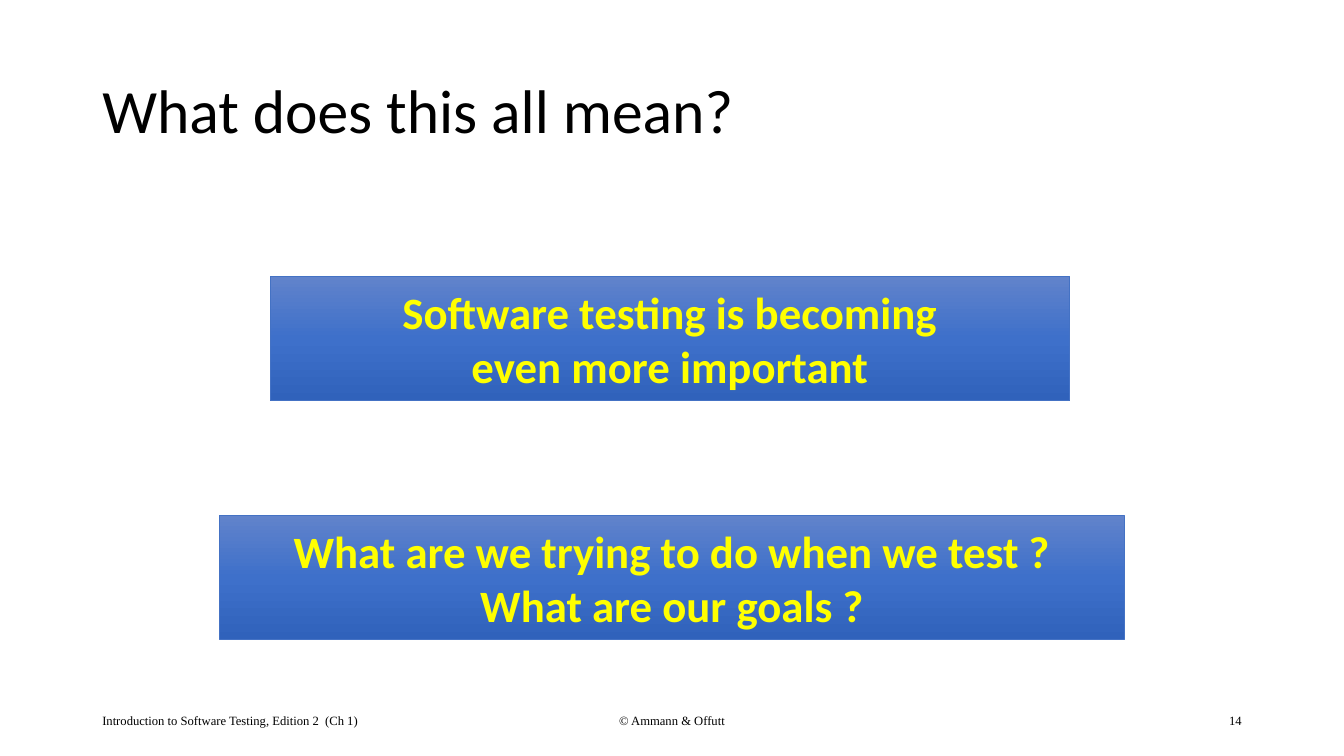
from copy import deepcopy

from pptx import Presentation
from pptx.dml.color import RGBColor
from pptx.enum.shapes import MSO_SHAPE
from pptx.enum.text import MSO_ANCHOR, PP_ALIGN
from pptx.oxml.ns import qn
from pptx.util import Pt

TITLE = {"size": Pt(44), "name": "Calibri"}
FOOTER = {"size": Pt(9), "name": "Times New Roman"}
BANNER = {"size": Pt(32), "name": "Calibri", "bold": True}
GRADIENT = [(0, "6183CB"), (0.5, "3E70CA"), (1, "3062BB")]


def rgb(value):
    """Return the colour for a hex string."""
    return RGBColor.from_string(value)


def write(sp, lines, fmt, color="000000", align=PP_ALIGN.LEFT, spacing=None):
    """Fill a shape with one formatted paragraph per line."""
    tf = sp.text_frame
    tf.word_wrap = True
    tf.vertical_anchor = MSO_ANCHOR.MIDDLE
    for i, line in enumerate(lines):
        p = tf.add_paragraph() if i else tf.paragraphs[0]
        p.alignment = align
        if spacing:
            p.line_spacing = spacing
        r = p.add_run()
        r.text = line
        for key, value in fmt.items():
            setattr(r.font, key, value)
        r.font.color.rgb = rgb(color)


def add_title(slide, box, text):
    """Place the slide title in its box."""
    sp = slide.shapes.add_textbox(*map(Pt, box))
    write(sp, [text], TITLE, spacing=0.9)


def add_footer(slide, box, source, credit, number):
    """Place source, credit and slide number across the box."""
    x, y, w, h = box
    side, middle = 216, 324
    parts = [
        (x, side, source, PP_ALIGN.LEFT),
        (x + (w - middle) / 2, middle, credit, PP_ALIGN.CENTER),
        (x + w - side, side, number, PP_ALIGN.RIGHT),
    ]
    for left, width, text, align in parts:
        sp = slide.shapes.add_textbox(Pt(left), Pt(y), Pt(width), Pt(h))
        write(sp, [text], FOOTER, align=align)


def add_banner(slide, box, lines):
    """Place a gradient banner with centred yellow lines."""
    sp = slide.shapes.add_shape(MSO_SHAPE.RECTANGLE, *map(Pt, box))
    sp.shadow.inherit = False
    sp.fill.gradient()
    sp.fill.gradient_angle = 270
    stops = sp.element.spPr.find(".//" + qn("a:gsLst"))
    stops.append(deepcopy(stops[0]))
    for stop, (position, color) in zip(sp.fill.gradient_stops, GRADIENT):
        stop.position = position
        stop.color.rgb = rgb(color)
    sp.line.color.rgb = rgb("4472C4")
    sp.line.width = Pt(0.5)
    write(sp, lines, BANNER, "FFFF00", PP_ALIGN.CENTER)


def main():
    """Build and save the slide."""
    prs = Presentation()
    prs.slide_width, prs.slide_height = Pt(960), Pt(540)
    slide = prs.slides.add_slide(prs.slide_layouts[6])
    add_title(slide, (66, 28.75, 828, 104.4), "What does this all mean?")
    add_footer(slide, (66, 500.5, 828, 28.75),
               "Introduction to Software Testing, Edition 2  (Ch 1)",
               "© Ammann & Offutt", "14")
    add_banner(slide, (193, 197.5, 571, 88.75),
               ["Software testing is becoming", "even more important"])
    add_banner(slide, (157, 368, 646, 88.75),
               ["What are we trying to do when we test ?", "What are our goals ?"])
    prs.save("out.pptx")


if __name__ == "__main__":
    main()
